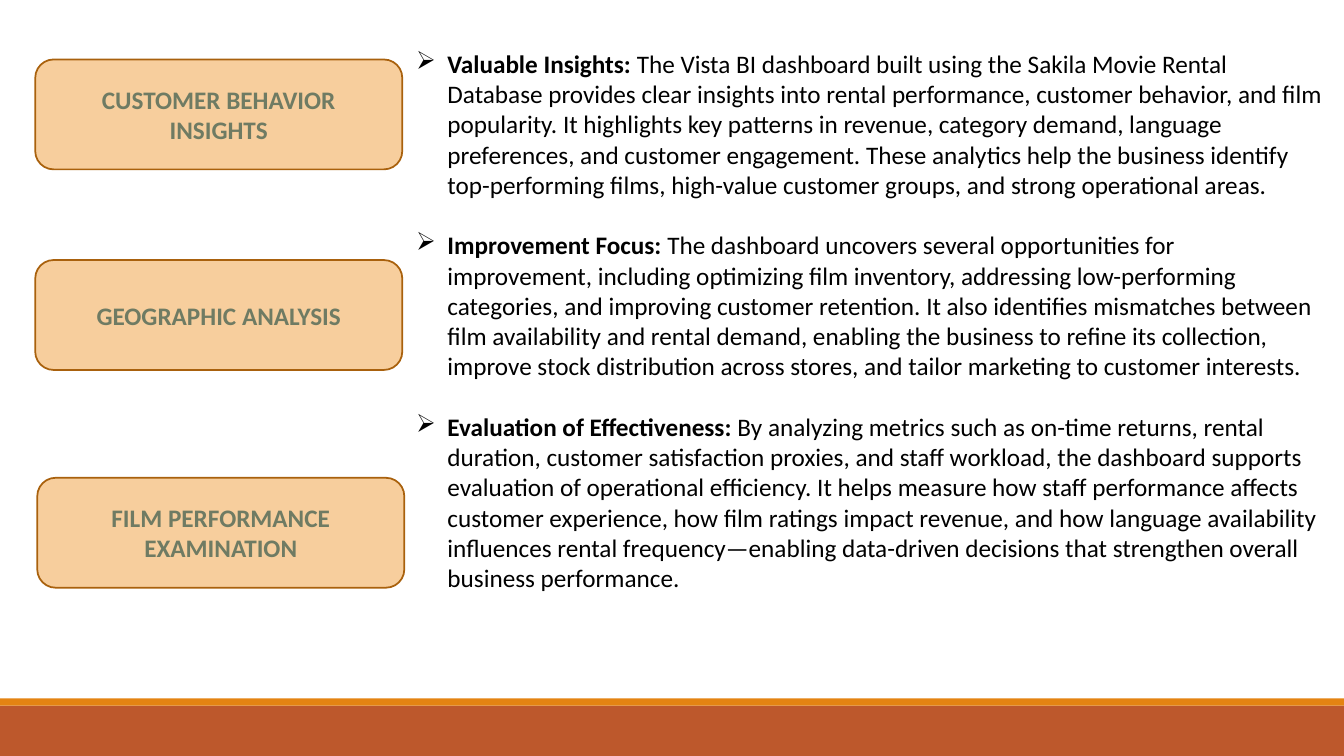
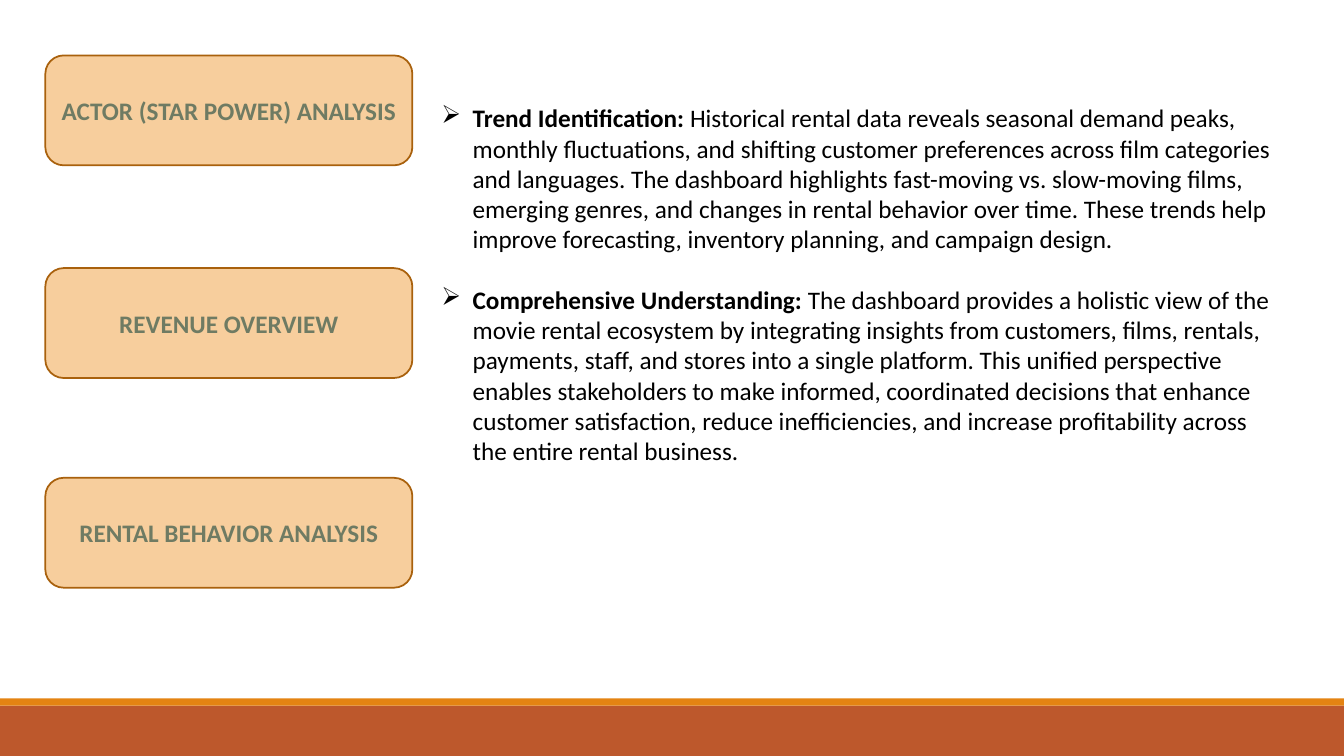
from lxml.etree import SubElement
from pptx import Presentation
from pptx.dml.color import RGBColor
from pptx.enum.shapes import MSO_SHAPE
from pptx.enum.text import MSO_ANCHOR, PP_ALIGN
from pptx.oxml.ns import qn
from pptx.util import Inches, Pt

WIDTH, HEIGHT = 13.33, 7.5
FONT, TEXT_SIZE = "Calibri", 18
TEXT, LABEL = "000000", "6F7B63"
CARD_FILL, CARD_LINE = "F7CE9D", "A9610D"
CARD_SIZE = (3.64, 1.09)
INDENT, PARAGRAPH_GAP = 0.31, 21.6

# Footer bands: top, height, colour
BANDS = [(7, 0.5, "BD582C"), (6.93, 0.07, "E48312")]

# Cards: left, top, label; points: heading, body
SLIDES = [
    {
        "cards": [
            (0.35, 0.59, "CUSTOMER BEHAVIOR INSIGHTS"),
            (0.35, 2.58, "GEOGRAPHIC ANALYSIS"),
            (0.37, 4.74, "FILM PERFORMANCE EXAMINATION"),
        ],
        "text_area": (4.03, 0.43, 9.19, 6.16),
        "points": [
            ("Valuable Insights: ",
             "The Vista BI dashboard built using the Sakila Movie Rental Database provides "
             "clear insights into rental performance, customer behavior, and film popularity. "
             "It highlights key patterns in revenue, category demand, language preferences, "
             "and customer engagement. These analytics help the business identify "
             "top-performing films, high-value customer groups, and strong operational areas."),
            ("Improvement Focus: ",
             "The dashboard uncovers several opportunities for improvement, including "
             "optimizing film inventory, addressing low-performing categories, and improving "
             "customer retention. It also identifies mismatches between film availability and "
             "rental demand, enabling the business to refine its collection, improve stock "
             "distribution across stores, and tailor marketing to customer interests."),
            ("Evaluation of Effectiveness: ",
             "By analyzing metrics such as on-time returns, rental duration, customer "
             "satisfaction proxies, and staff workload, the dashboard supports evaluation of "
             "operational efficiency. It helps measure how staff performance affects customer "
             "experience, how film ratings impact revenue, and how language availability "
             "influences rental frequency—enabling data-driven decisions that strengthen "
             "overall business performance."),
        ],
    },
    {
        "cards": [
            (0.45, 0.55, "ACTOR (STAR POWER) ANALYSIS"),
            (0.45, 2.66, "REVENUE OVERVIEW"),
            (0.45, 4.74, "RENTAL BEHAVIOR ANALYSIS"),
        ],
        "text_area": (4.28, 0.97, 8.43, 4.34),
        "points": [
            ("Trend Identification: ",
             "Historical rental data reveals seasonal demand peaks, monthly fluctuations, and "
             "shifting customer preferences across film categories and languages. The "
             "dashboard highlights fast-moving vs. slow-moving films, emerging genres, and "
             "changes in rental behavior over time. These trends help improve forecasting, "
             "inventory planning, and campaign design."),
            ("Comprehensive Understanding: ",
             "The dashboard provides a holistic view of the movie rental ecosystem by "
             "integrating insights from customers, films, rentals, payments, staff, and "
             "stores into a single platform. This unified perspective enables stakeholders "
             "to make informed, coordinated decisions that enhance customer satisfaction, "
             "reduce inefficiencies, and increase profitability across the entire rental "
             "business."),
        ],
    },
]


def color(hex_value):
    return RGBColor.from_string(hex_value)


def style(font, hex_value, bold):
    font.name, font.size, font.bold = FONT, Pt(TEXT_SIZE), bold
    font.color.rgb = color(hex_value)


def add_block(page, kind, area, fill, line=None):
    block = page.shapes.add_shape(kind, *map(Inches, area))
    block.shadow.inherit = False
    block.fill.solid()
    block.fill.fore_color.rgb = color(fill)
    if line:
        block.line.color.rgb = color(line)
        block.line.width = Pt(1.25)
    else:
        block.line.fill.background()
    return block


def add_card(page, left, top, label):
    card = add_block(page, MSO_SHAPE.ROUNDED_RECTANGLE,
                     (left, top, *CARD_SIZE), CARD_FILL, CARD_LINE)
    frame = card.text_frame
    frame.text = label
    frame.word_wrap = True
    frame.vertical_anchor = MSO_ANCHOR.MIDDLE
    para = frame.paragraphs[0]
    para.alignment = PP_ALIGN.CENTER
    style(para.runs[0].font, LABEL, True)


def add_bullet(para):
    properties = para._p.get_or_add_pPr()
    properties.set("marL", str(Inches(INDENT)))
    properties.set("indent", str(-Inches(INDENT)))
    SubElement(properties, qn("a:buChar")).set("char", "➢")


def add_points(page, area, points):
    frame = page.shapes.add_textbox(*map(Inches, area)).text_frame
    frame.word_wrap = True
    for number, point in enumerate(points):
        para = frame.add_paragraph() if number else frame.paragraphs[0]
        add_bullet(para)
        if number:
            para.space_before = Pt(PARAGRAPH_GAP)
        for words, bold in zip(point, (True, False)):
            span = para.add_run()
            span.text = words
            style(span.font, TEXT, bold)


def main():
    deck = Presentation()
    deck.slide_width, deck.slide_height = Inches(WIDTH), Inches(HEIGHT)
    for content in SLIDES:
        page = deck.slides.add_slide(deck.slide_layouts[6])
        # Footer
        for top, height, fill in BANDS:
            add_block(page, MSO_SHAPE.RECTANGLE, (0, top, WIDTH, height), fill)
        # Findings and topic cards
        add_points(page, content["text_area"], content["points"])
        for card in content["cards"]:
            add_card(page, *card)
    deck.save("out.pptx")


if __name__ == "__main__":
    main()
